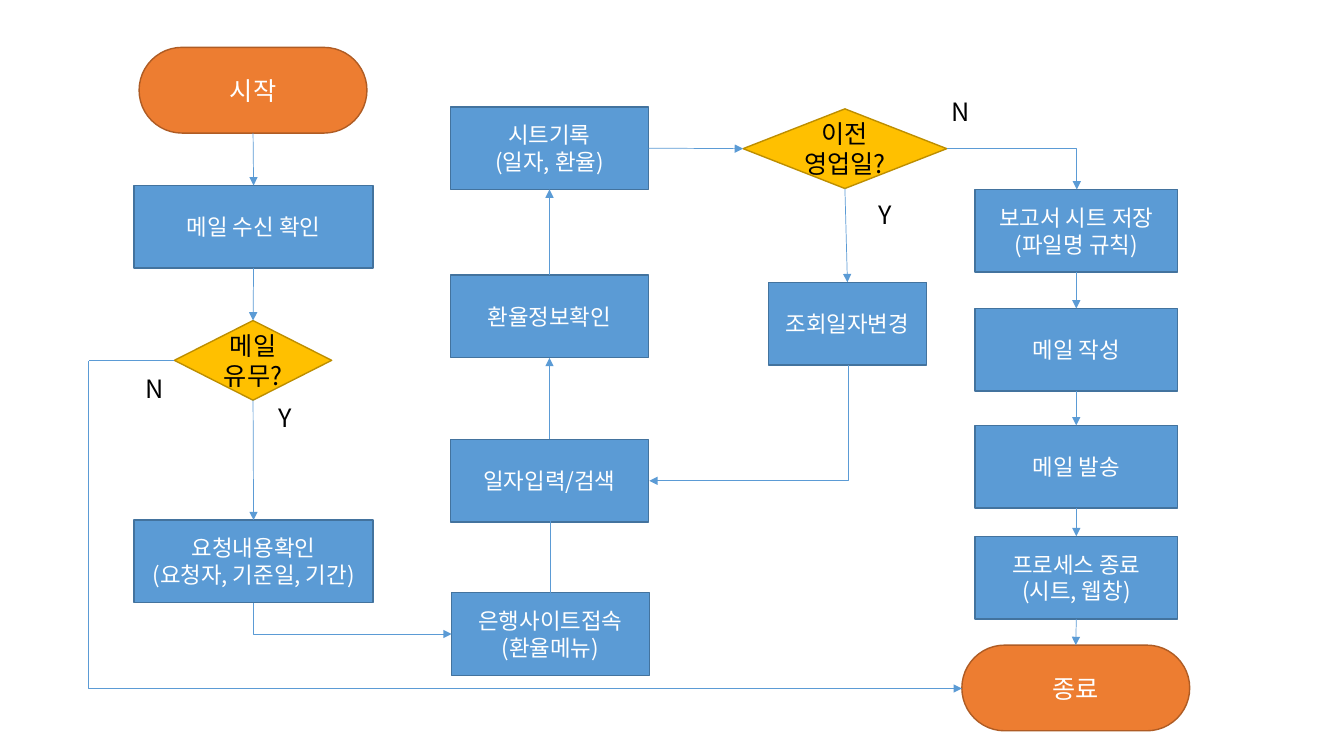
from lxml import etree
from pptx import Presentation
from pptx.dml.color import RGBColor
from pptx.enum.shapes import MSO_CONNECTOR, MSO_SHAPE
from pptx.enum.text import MSO_ANCHOR, MSO_AUTO_SIZE, PP_ALIGN
from pptx.oxml.ns import qn
from pptx.util import Inches, Pt

FONT = "Noto Sans CJK KR"
TOP, LEFT, BOTTOM, RIGHT = range(4)
BLUE = "5B9BD5"
KINDS = {
    "terminal": dict(preset=MSO_SHAPE.ROUNDED_RECTANGLE, width=2.26, height=0.85,
                     fill="ED7D31", line="AF5C24", size=18, color="FFFFFF"),
    "step": dict(preset=MSO_SHAPE.RECTANGLE, width=1.96, height=0.82,
                 fill=BLUE, line="43739E", size=16, color="FFFFFF"),
    "decision": dict(preset=MSO_SHAPE.DIAMOND, width=1.56, height=0.79,
                     fill="FFC000", line="BD8E00", size=18, color="000000"),
}
NODES = {
    "start": ("terminal", 1.38, 0.47, None, "시작"),
    "receive": ("step", 1.33, 1.84, 2.37, "메일 수신 확인"),
    "has_mail": ("decision", 1.73, 3.18, None, "메일 유무?"),
    "request": ("step", 1.33, 5.16, 2.37, "요청내용확인\n(요청자, 기준일, 기간)"),
    "bank": ("step", 4.48, 5.88, None, "은행사이트접속\n(환율메뉴)"),
    "search": ("step", 4.47, 4.36, None, "일자입력/검색"),
    "rate": ("step", 4.47, 2.73, None, "환율정보확인"),
    "record": ("step", 4.47, 1.06, None, "시트기록\n(일자, 환율)"),
    "previous_day": ("decision", 7.37, 1.08, 2.02, "이전\n영업일?"),
    "change_date": ("step", 7.62, 2.8, 1.57, "조회일자변경"),
    "save": ("step", 9.67, 1.88, 2.01, "보고서 시트 저장\n(파일명 규칙)"),
    "write": ("step", 9.67, 3.06, 2.01, "메일 작성"),
    "send": ("step", 9.67, 4.22, 2.01, "메일 발송"),
    "close": ("step", 9.67, 5.32, 2.01, "프로세스 종료\n(시트, 웹창)"),
    "end": ("terminal", 9.54, 6.4, None, "종료"),
}
LINKS = [
    ("start", BOTTOM, "receive", TOP),
    ("receive", BOTTOM, "has_mail", TOP),
    ("has_mail", BOTTOM, "request", TOP),
    ("search", TOP, "rate", BOTTOM),
    ("rate", TOP, "record", BOTTOM),
    ("record", RIGHT, "previous_day", LEFT),
    ("previous_day", BOTTOM, "change_date", TOP),
    ("save", BOTTOM, "write", TOP),
    ("write", BOTTOM, "send", TOP),
    ("send", BOTTOM, "close", TOP),
    ("close", BOTTOM, "end", TOP),
]
BENDS = [
    ((2.51, 5.98), (4.48, 6.29), True),
    ((8.41, 3.62), (6.44, 4.77), True),
    ((9.39, 1.47), (10.68, 1.88), False),
    ((0.88, 3.58), (9.54, 6.83), True),
]
LABELS = [("N", 1.34, 3.65), ("Y", 2.66, 3.94), ("Y", 8.61, 1.93), ("N", 9.34, 0.91)]


def rgb(color):
    """Turn a hex string into a colour."""
    return RGBColor.from_string(color)


def write_text(frame, text, size, color, align):
    """Fill a text frame with one paragraph per line of text."""
    frame.word_wrap = True
    frame.text = text
    for para in frame.paragraphs:
        para.alignment = align
        for span in para.runs:
            for name, value in dict(name=FONT, size=Pt(size)).items():
                setattr(span.font, name, value)
            span.font.color.rgb = rgb(color)
            east_asian = etree.SubElement(span.font._element, qn("a:ea"))
            east_asian.set("typeface", FONT)


def add_node(page, kind, left, top, width, text):
    """Draw one flowchart symbol."""
    style = KINDS[kind]
    box = page.shapes.add_shape(style["preset"], Inches(left), Inches(top),
                                Inches(width or style["width"]), Inches(style["height"]))
    if kind == "terminal":
        box.adjustments[0] = 0.5
    box.shadow.inherit = False
    box.fill.solid()
    box.fill.fore_color.rgb = rgb(style["fill"])
    box.line.color.rgb = rgb(style["line"])
    box.line.width = Pt(1)
    box.text_frame.vertical_anchor = MSO_ANCHOR.MIDDLE
    write_text(box.text_frame, text, style["size"], style["color"], PP_ALIGN.CENTER)
    return box


def add_label(page, text, left, top):
    """Place the answer beside a branch."""
    box = page.shapes.add_textbox(Inches(left), Inches(top), Inches(0.78), Inches(0.4))
    write_text(box.text_frame, text, 18, "000000", PP_ALIGN.LEFT)
    box.text_frame.auto_size = MSO_AUTO_SIZE.SHAPE_TO_FIT_TEXT


def add_line(page, start, finish, arrow=True):
    """Draw a thin blue connector between two points."""
    line = page.shapes.add_connector(MSO_CONNECTOR.STRAIGHT,
                                     *(Inches(value) for value in (*start, *finish)))
    line.line.color.rgb = rgb(BLUE)
    line.line.width = Pt(0.5)
    if arrow:
        etree.SubElement(line.line._get_or_add_ln(), qn("a:tailEnd")).set("type", "triangle")
    etree.SubElement(line._element.spPr, qn("a:effectLst"))
    return line


def add_link(page, source, source_side, target, target_side):
    """Glue a straight arrow to the sides of two symbols."""
    line = add_line(page, (0, 0), (1, 1))
    line.begin_connect(source, source_side)
    line.end_connect(target, target_side)


def add_bend(page, start, finish, down_first):
    """Draw an arrow with one right-angled corner."""
    across, down = finish[0] - start[0], finish[1] - start[1]
    width, height = (down, abs(across)) if down_first else (across, down)
    left = (start[0] + finish[0] - width) / 2
    top = (start[1] + finish[1] - height) / 2
    line = add_line(page, (left, top), (left + width, top + height))
    properties = line._element.spPr
    properties.find(qn("a:prstGeom")).set("prst", "bentConnector2")
    if down_first:
        frame = properties.find(qn("a:xfrm"))
        frame.set("rot", str((270 if across > 0 else 90) * 60000))
        if across > 0:
            frame.set("flipH", "1")


def main():
    """Build the mail and exchange rate flowchart."""
    deck = Presentation()
    deck.slide_width, deck.slide_height = Inches(13.33), Inches(7.5)
    page = deck.slides.add_slide(deck.slide_layouts[6])
    nodes = {name: add_node(page, *node) for name, node in NODES.items()}
    for source, source_side, target, target_side in LINKS:
        add_link(page, nodes[source], source_side, nodes[target], target_side)
    add_line(page, (5.46, 5.88), (5.46, 4.94))
    add_line(page, (1.73, 3.58), (0.88, 3.58), arrow=False)
    for bend in BENDS:
        add_bend(page, *bend)
    for label in LABELS:
        add_label(page, *label)
    deck.save("out.pptx")


if __name__ == "__main__":
    main()
